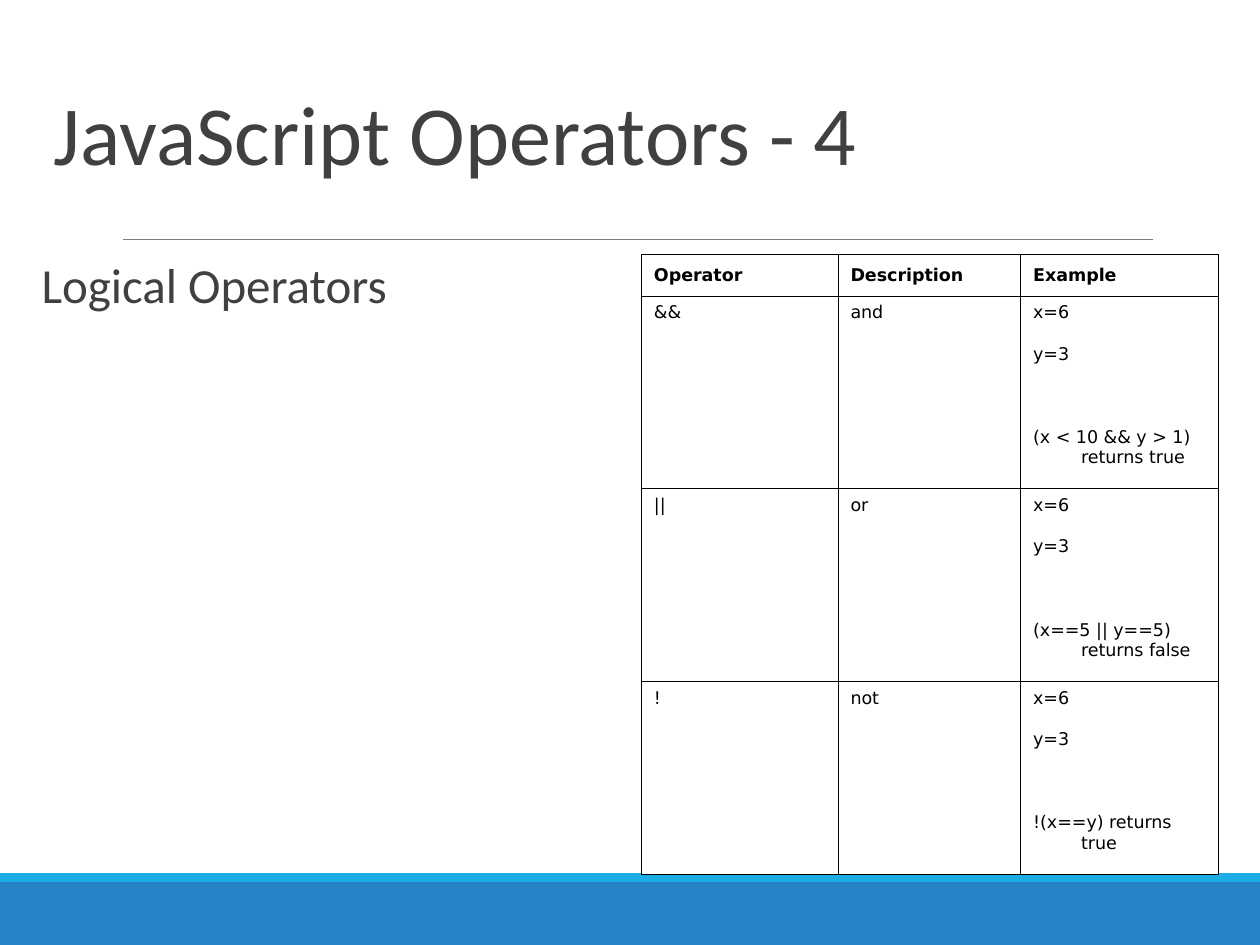
"""Build a slide that tabulates the JavaScript logical operators."""
from dataclasses import dataclass

from lxml import etree
from pptx import Presentation
from pptx import util as u
from pptx.dml.color import RGBColor
from pptx.enum import shapes, text
from pptx.oxml import ns

TITLE = "JavaScript Operators - 4"
SUBTITLE = "Logical Operators"
HEADERS = ["Operator", "Description", "Example"]
OPERATORS = [
    ("&&", "and", ["x=6", "y=3", "", "(x < 10 && y > 1) returns true"]),
    ("||", "or", ["x=6", "y=3", "", "(x==5 || y==5) returns false"]),
    ("!", "not", ["x=6", "y=3", "", "!(x==y) returns true"]),
]
WIDTH, HEIGHT = 10, 7.5
MARGIN, BODY_TOP = 0.33, 2.02
COLUMNS = [1.56, 1.45, 1.57]
HEADER_ROW, GROUP_ROWS = 0.33, [0.33, 0.33, 0.33, 0.54]


@dataclass(frozen=True)
class Theme:
    """Hold the colours, fonts and type sizes."""
    ink: str = "404040"
    grid: str = "000000"
    paper: str = "FFFFFF"
    rule: str = "7F7F7F"
    band: str = "2683C6"
    accent: str = "1CADE4"
    font: str = "Calibri"
    table_font: str = "DejaVu Sans"
    title: int = 48
    body: int = 28
    cell: int = 10
    border: float = 0.45


THEME = Theme()


def style(p, font, size, color, bold=False):
    """Format every run of a paragraph."""
    for r in p.runs:
        r.font.name, r.font.size, r.font.bold = font, u.Pt(size), bold
        r.font.color.rgb = RGBColor.from_string(color)


def hang(p, indent):
    """Give a paragraph a hanging indent."""
    pPr = p._p.get_or_add_pPr()
    pPr.set("marL", str(u.Inches(indent)))
    pPr.set("indent", str(-u.Inches(indent)))


def add_band(s, top, height, color):
    """Add a full-width footer band."""
    sp = s.shapes.add_shape(shapes.MSO_SHAPE.RECTANGLE, 0, u.Inches(top),
                            u.Inches(WIDTH), u.Inches(height))
    sp.shadow.inherit = False
    sp.fill.solid()
    sp.fill.fore_color.rgb = RGBColor.from_string(color)
    sp.line.fill.background()


def add_rule(s, left, right, top):
    """Add the thin line under the title."""
    sp = s.shapes.add_connector(shapes.MSO_CONNECTOR.STRAIGHT, u.Inches(left),
                                u.Inches(top), u.Inches(right), u.Inches(top))
    sp.line.color.rgb = RGBColor.from_string(THEME.rule)
    sp.line.width = u.Pt(0.5)
    etree.SubElement(sp._element.spPr, ns.qn("a:effectLst"))


def add_text(s, content, box, size, spacing, anchor, inset):
    """Add a one-paragraph text box and return its paragraph."""
    tf = s.shapes.add_textbox(*map(u.Inches, box)).text_frame
    tf.word_wrap, tf.vertical_anchor = True, anchor
    tf.margin_left = tf.margin_right = u.Inches(inset)
    tf.text = content
    p = tf.paragraphs[0]
    p.line_spacing = spacing
    style(p, THEME.font, size, THEME.ink)
    return p


def set_borders(cell, sides):
    """Draw the given cell sides and blank the others."""
    tcPr = cell._tc.get_or_add_tcPr()
    for side in "LRTB":
        ln = etree.SubElement(tcPr, ns.qn(f"a:ln{side}"), w=str(u.Pt(THEME.border)))
        if side in sides:
            fill = etree.SubElement(ln, ns.qn("a:solidFill"))
            etree.SubElement(fill, ns.qn("a:srgbClr"), val=THEME.grid)
        else:
            etree.SubElement(ln, ns.qn("a:noFill"))


def fill_cell(cell, content, sides, bold=False):
    """Set the text, borders and fill of a table cell."""
    set_borders(cell, sides)
    cell.fill.solid()
    cell.fill.fore_color.rgb = RGBColor.from_string(THEME.paper)
    cell.vertical_anchor = text.MSO_ANCHOR.MIDDLE if bold else text.MSO_ANCHOR.TOP
    p = cell.text_frame.paragraphs[0]
    if content:
        cell.text_frame.text = content
        p = cell.text_frame.paragraphs[0]
        hang(p, 0.38)
        style(p, THEME.table_font, THEME.cell, THEME.grid, bold)
    else:
        etree.SubElement(p._p, ns.qn("a:endParaRPr"), sz=str(THEME.cell * 100))


def add_operator_table(s):
    """Add the table with one group of rows per operator."""
    heights = [HEADER_ROW] + GROUP_ROWS * len(OPERATORS)
    size = len(GROUP_ROWS)
    left = WIDTH - MARGIN - sum(COLUMNS)
    table = s.shapes.add_table(
        len(heights), len(COLUMNS),
        *map(u.Inches, (left, BODY_TOP, sum(COLUMNS), sum(heights)))).table
    table.first_row = table.horz_banding = False
    for column, width in zip(table.columns, COLUMNS):
        column.width = u.Inches(width)
    for row, height in zip(table.rows, heights):
        row.height = u.Inches(height)
    for c, header in enumerate(HEADERS):
        fill_cell(table.cell(0, c), header, "LRTB", bold=True)
    for g, (symbol, name, examples) in enumerate(OPERATORS):
        top = 1 + g * size
        for i, example in enumerate(examples):
            edges = "LR" + "T" * (i == 0) + "B" * (i == size - 1)
            fill_cell(table.cell(top + i, 2), example, edges)
            for c, label in enumerate((symbol, name)):
                fill_cell(table.cell(top + i, c), "" if i else label, "LRTB" if i == 0 else edges)
        for c in range(2):
            table.cell(top, c).merge(table.cell(top + size - 1, c))


def main():
    """Assemble and save the slide."""
    prs = Presentation()
    prs.slide_width, prs.slide_height = u.Inches(WIDTH), u.Inches(HEIGHT)
    s = prs.slides.add_slide(prs.slide_layouts[6])
    add_band(s, 7, 0.5, THEME.band)
    add_band(s, 6.93, 0.07, THEME.accent)
    add_rule(s, 0.98, 9.15, 1.9)
    add_text(s, TITLE, (MARGIN, 0.25, WIDTH - 2 * MARGIN, 1.25),
             THEME.title, 0.85, text.MSO_ANCHOR.BOTTOM, 0.1)
    p = add_text(s, SUBTITLE, (MARGIN, BODY_TOP, sum(COLUMNS), 4.65),
                 THEME.body, 0.9, text.MSO_ANCHOR.TOP, 0)
    p.space_before, p.space_after = u.Pt(12), u.Pt(2)
    hang(p, 0.1)
    add_operator_table(s)
    prs.save("out.pptx")


if __name__ == "__main__":
    main()
